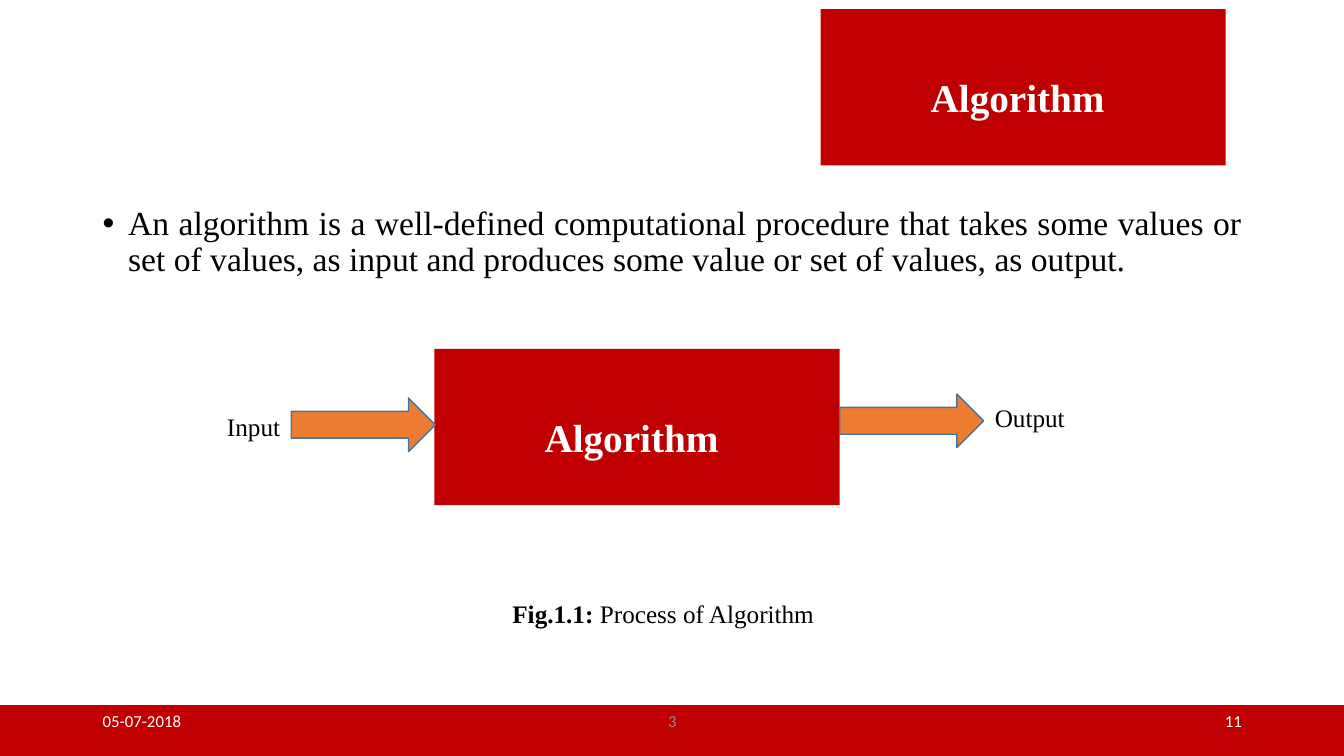
import dataclasses

import lxml.etree
import pptx
import pptx.dml.color
import pptx.enum.shapes
import pptx.enum.text
import pptx.oxml.ns
import pptx.util

Cm = pptx.util.Cm
Pt = pptx.util.Pt
ALIGN = pptx.enum.text.PP_ALIGN
ANCHOR = pptx.enum.text.MSO_ANCHOR
SHAPE = pptx.enum.shapes.MSO_SHAPE


@dataclasses.dataclass(frozen=True)
class Theme:
    """Colours, fonts and type sizes of the slide."""

    red: str = "C00000"
    orange: str = "ED7D31"
    outline: str = "43739E"
    black: str = "000000"
    white: str = "FFFFFF"
    grey: str = "8C8C8C"
    serif: str = "Times New Roman"
    sans: str = "Calibri"
    heading: int = 28
    body: int = 24
    label: int = 18
    footer: int = 12


THEME = Theme()


def apply(target, values):
    """Set every attribute named in a dict of format values."""
    for name, value in values.items():
        setattr(target, name, value)


def rgb(colour):
    """Turn a hex string into a colour value."""
    return pptx.dml.color.RGBColor.from_string(colour)


def write(paragraph, text, size, colour=THEME.black, font=THEME.serif, bold=False):
    """Add one formatted run to a paragraph."""
    run = paragraph.add_run()
    run.text = text
    apply(run.font, {"name": font, "size": Pt(size), "bold": bold})
    run.font.color.rgb = rgb(colour)


def add_text(slide, place, runs, align=ALIGN.LEFT, anchor=ANCHOR.TOP):
    """Add a wrapped text box and return its paragraph."""
    frame = slide.shapes.add_textbox(*map(Cm, place)).text_frame
    apply(frame, {"word_wrap": True, "vertical_anchor": anchor})
    paragraph = frame.paragraphs[0]
    paragraph.alignment = align
    for run in runs:
        write(paragraph, **run)
    return paragraph


def add_bullet(slide, place, text):
    """Add a justified paragraph with a hanging bullet."""
    paragraph = add_text(slide, place, [{"text": text, "size": THEME.body}], ALIGN.JUSTIFY)
    apply(paragraph, {"line_spacing": 0.9, "space_before": Pt(10)})
    properties = paragraph._p.get_or_add_pPr()
    apply_indent = {"marL": Cm(0.64), "indent": -Cm(0.64)}
    for name, value in apply_indent.items():
        properties.set(name, str(value))
    qualify = pptx.oxml.ns.qn
    lxml.etree.SubElement(properties, qualify("a:buFont")).set("typeface", "Arial")
    lxml.etree.SubElement(properties, qualify("a:buChar")).set("char", "•")


def paint(shape, fill, outline=None):
    """Fill a shape and give it a thin outline or none."""
    shape.fill.solid()
    shape.fill.fore_color.rgb = rgb(fill)
    if outline:
        shape.line.color.rgb = rgb(outline)
        shape.line.width = Pt(1)
    else:
        shape.line.fill.background()


def add_shape(slide, kind, place, fill, outline=None):
    """Add a flat preset shape."""
    shape = slide.shapes.add_shape(kind, *map(Cm, place))
    shape.shadow.inherit = False
    paint(shape, fill, outline)
    return shape


def format_block(shape, text):
    """Make a shape a red block with a bold white heading."""
    paint(shape, THEME.red)
    frame = shape.text_frame
    apply(frame, {
        "word_wrap": True,
        "auto_size": pptx.enum.text.MSO_AUTO_SIZE.NONE,
        "vertical_anchor": ANCHOR.MIDDLE,
        "margin_left": Cm(0.25),
        "margin_right": Cm(0.53),
        "margin_top": Cm(0.5),
        "margin_bottom": Cm(0),
    })
    paragraph = frame.paragraphs[0]
    paragraph.alignment = ALIGN.CENTER
    write(paragraph, text, THEME.heading, THEME.white, bold=True)


def add_title(slide, place, text):
    """Place and format the title placeholder."""
    title = slide.shapes.title
    apply(title, dict(zip(("left", "top", "width", "height"), map(Cm, place))))
    format_block(title, text)


def add_process(slide):
    """Draw the input, algorithm and output flow."""
    block = add_shape(slide, SHAPE.RECTANGLE, (10.95, 8.79, 10.21, 3.94), THEME.red)
    format_block(block, "Algorithm")
    flow = (
        ("Input", 2.51, 10.24, ALIGN.RIGHT, 7.34, 10.03),
        ("Output", 24.82, 10.01, ALIGN.LEFT, 21.16, 9.93),
    )
    for text, left, top, align, arrow_left, arrow_top in flow:
        add_text(slide, (left, top, 4.8, 1.02), [{"text": text, "size": THEME.label}], align)
        place = (arrow_left, arrow_top, 3.63, 1.35)
        add_shape(slide, SHAPE.RIGHT_ARROW, place, THEME.orange, THEME.outline)


def add_footer(slide):
    """Draw the bottom band with its three texts."""
    add_shape(slide, SHAPE.RECTANGLE, (0, 17.78, 33.87, 1.27), THEME.red, THEME.red)
    entries = (
        ("05-07-2018", 2.34, 7.62, ALIGN.LEFT, THEME.white),
        ("3", 11.23, 11.43, ALIGN.CENTER, THEME.grey),
        ("11", 23.93, 7.62, ALIGN.RIGHT, THEME.white),
    )
    for text, left, width, align, colour in entries:
        run = {"text": text, "size": THEME.footer, "colour": colour, "font": THEME.sans}
        add_text(slide, (left, 17.65, width, 1.02), [run], align, ANCHOR.MIDDLE)


def main():
    """Build and save the slide."""
    presentation = pptx.Presentation()
    apply(presentation, {"slide_width": Cm(33.87), "slide_height": Cm(19.05)})
    slide = presentation.slides.add_slide(presentation.slide_layouts[5])
    add_title(slide, (20.68, 0.23, 10.21, 3.94), "Algorithm")
    add_bullet(
        slide,
        (2.34, 5.08, 29.21, 2.84),
        "An algorithm is a well-defined computational procedure that takes some values or "
        "set of values, as input and produces some value or set of values, as output.",
    )
    add_process(slide)
    caption = [
        {"text": "Fig.1.1:", "size": THEME.label, "bold": True},
        {"text": " Process of Algorithm", "size": THEME.label},
    ]
    add_text(slide, (8.18, 14.94, 17.07, 1.02), caption, ALIGN.CENTER)
    add_footer(slide)
    presentation.save("out.pptx")


main()
